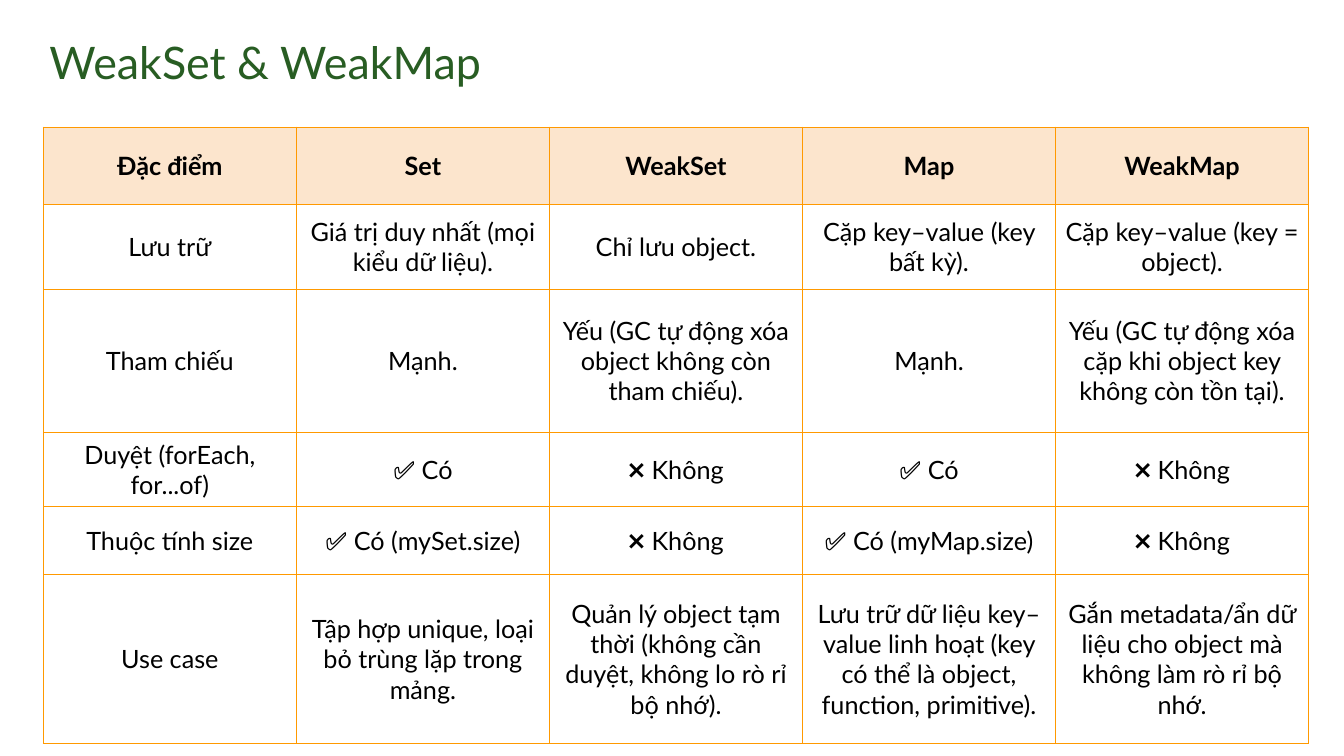
from lxml import etree
from pptx import Presentation
from pptx.dml.color import RGBColor
from pptx.enum.text import MSO_ANCHOR, PP_ALIGN
from pptx.oxml import parse_xml
from pptx.util import Inches, Pt

MIDDLE = MSO_ANCHOR.MIDDLE
CENTER = PP_ALIGN.CENTER
DRAWING = "http://schemas.openxmlformats.org/drawingml/2006/main"
COLUMN_WIDTH = 2.51
ROW_HEIGHTS = [0.77, 0.84, 1.42, 0.74, 0.67, 1.68]
ROWS = [
    ["Đặc điểm", "Set", "WeakSet", "Map", "WeakMap"],
    ["Lưu trữ", "Giá trị duy nhất (mọi kiểu dữ liệu).", "Chỉ lưu object.",
     "Cặp key–value (key bất kỳ).", "Cặp key–value (key = object)."],
    ["Tham chiếu", "Mạnh.", "Yếu (GC tự động xóa object không còn tham chiếu).",
     "Mạnh.", "Yếu (GC tự động xóa cặp khi object key không còn tồn tại)."],
    ["Duyệt (forEach, for...of)", "✅ Có", "❌ Không", "✅ Có", "❌ Không"],
    ["Thuộc tính size", "✅ Có (mySet.size)", "❌ Không", "✅ Có (myMap.size)", "❌ Không"],
    ["Use case", "Tập hợp unique, loại bỏ trùng lặp trong mảng.",
     "Quản lý object tạm thời (không cần duyệt, không lo rò rỉ bộ nhớ).",
     "Lưu trữ dữ liệu key–value linh hoạt (key có thể là object, function, primitive).",
     "Gắn metadata/ẩn dữ liệu cho object mà không làm rò rỉ bộ nhớ."],
]


def color(value):
    return RGBColor.from_string(value)


def style_text(para, size, value, bold=False):
    for span in para.runs:
        span.font.name = "Lato"
        span.font.size = Pt(size)
        span.font.bold = bold
        span.font.color.rgb = color(value)


deck = Presentation()
deck.slide_width = Inches(13.33)
deck.slide_height = Inches(7.5)
page = deck.slides.add_slide(deck.slide_layouts[6])

title = page.shapes.add_textbox(Inches(0.44), Inches(0.28), Inches(12), Inches(0.67))
frame = title.text_frame
frame.word_wrap = True
frame.vertical_anchor = MIDDLE
frame.margin_left = frame.margin_right = Inches(0.05)
frame.margin_top = frame.margin_bottom = Inches(0.05)
frame.text = "WeakSet & WeakMap"
style_text(frame.paragraphs[0], 32, "285D23")

table = page.shapes.add_table(
    len(ROWS), len(ROWS[0]), Inches(0.43), Inches(1.26),
    Inches(COLUMN_WIDTH * len(ROWS[0])), Inches(sum(ROW_HEIGHTS))).table
table.horz_banding = False
for column in table.columns:
    column.width = Inches(COLUMN_WIDTH)

for row_index, texts in enumerate(ROWS):
    header = row_index == 0
    table.rows[row_index].height = Inches(ROW_HEIGHTS[row_index])
    for column_index, text in enumerate(texts):
        cell = table.cell(row_index, column_index)
        cell.text_frame.text = text
        cell.vertical_anchor = MIDDLE
        cell.margin_left = cell.margin_right = Inches(0.1)
        cell.margin_top = cell.margin_bottom = Inches(0.05)
        para = cell.text_frame.paragraphs[0]
        para.alignment = CENTER
        style_text(para, 18, "000000", header)
        properties = cell._tc.get_or_add_tcPr()
        for side in ("lnL", "lnR", "lnT", "lnB"):
            border = etree.SubElement(properties, f"{{{DRAWING}}}{side}", w=str(Pt(0.75)))
            border.append(parse_xml(
                f'<a:solidFill xmlns:a="{DRAWING}"><a:srgbClr val="FF9900"/></a:solidFill>'))
        cell.fill.solid()
        cell.fill.fore_color.rgb = color("FCE5CD" if header else "FFFFFF")

deck.save("out.pptx")
